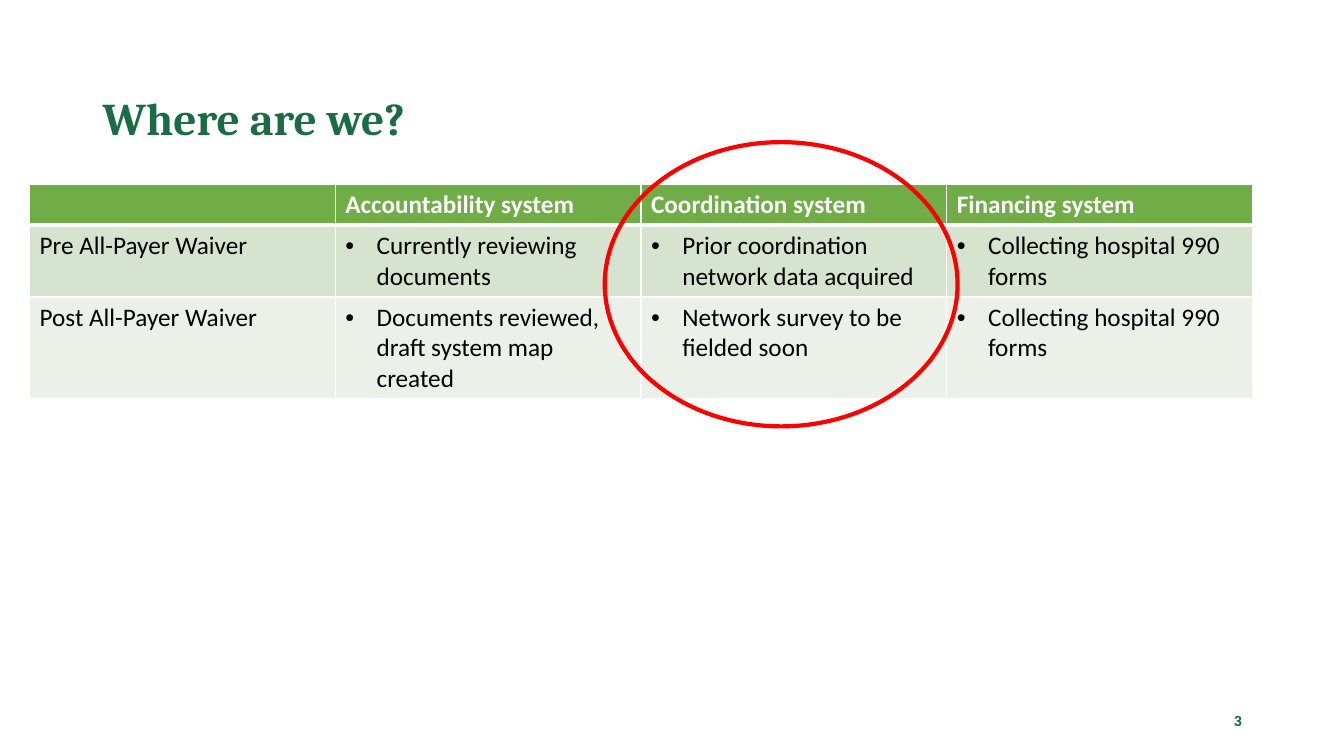
from dataclasses import dataclass

from lxml import etree
from pptx import Presentation
from pptx.dml.color import RGBColor
from pptx.enum.shapes import MSO_SHAPE
from pptx.enum.text import MSO_ANCHOR, PP_ALIGN
from pptx.oxml.ns import qn
from pptx.util import Inches, Pt

ELLIPSE = MSO_SHAPE.OVAL
MIDDLE = MSO_ANCHOR.MIDDLE
LEFT = PP_ALIGN.LEFT
RIGHT = PP_ALIGN.RIGHT

HEADINGS = ["", "Accountability system", "Coordination system", "Financing system"]
STAGES = [
    ["Pre All-Payer Waiver", "Currently reviewing documents",
     "Prior coordination network data acquired", "Collecting hospital 990 forms"],
    ["Post All-Payer Waiver", "Documents reviewed, draft system map created",
     "Network survey to be fielded soon", "Collecting hospital 990 forms"],
]


@dataclass(frozen=True)
class TextStyle:
    font: str
    size: float
    color: str
    bold: bool = False


@dataclass(frozen=True)
class Theme:
    title: TextStyle = TextStyle("Cambria", 32.4, "1A6C43", True)
    heading: TextStyle = TextStyle("Calibri", 18, "FFFFFF", True)
    body: TextStyle = TextStyle("Calibri", 18, "000000")
    number: TextStyle = TextStyle("Roboto", 10, "1A6C43", True)
    header_fill: str = "70AD47"
    row_fills: tuple = ("D5E3CF", "EBF1E9")
    border: str = "FFFFFF"
    highlight: str = "FF0000"
    thin: float = 1
    thick: float = 3
    indent: float = 0.31


class SlideBuilder:
    def __init__(self, deck, theme):
        self.deck = deck
        self.theme = theme
        self.page = deck.slides.add_slide(deck.slide_layouts[6])

    def place(self, left, top, width, height):
        across, down = self.deck.slide_width / 100, self.deck.slide_height / 100
        return [round(length) for length in
                (left * across, top * down, width * across, height * down)]

    def add_span(self, para, text, style):
        span = para.add_run()
        span.text = text
        span.font.name = style.font
        span.font.size = Pt(style.size)
        span.font.bold = style.bold
        span.font.color.rgb = RGBColor.from_string(style.color)

    def text(self, area, text, style, align=LEFT, spacing=1.0):
        frame = self.page.shapes.add_textbox(*self.place(*area)).text_frame
        frame.word_wrap = True
        frame.vertical_anchor = MIDDLE
        para = frame.paragraphs[0]
        para.alignment = align
        para.line_spacing = spacing
        self.add_span(para, text, style)

    def bullet(self, para):
        properties = para._p.get_or_add_pPr()
        indent = Inches(self.theme.indent)
        properties.set("marL", str(indent))
        properties.set("indent", str(-indent))
        etree.SubElement(properties, qn("a:buFont"), typeface="Arial")
        etree.SubElement(properties, qn("a:buChar"), char="•")

    def borders(self, cell, top, bottom):
        thin = self.theme.thin
        properties = cell._tc.get_or_add_tcPr()
        for side, weight in (("L", thin), ("R", thin), ("T", top), ("B", bottom)):
            line = etree.SubElement(properties, qn(f"a:ln{side}"), w=str(Pt(weight)))
            fill = etree.SubElement(line, qn("a:solidFill"))
            etree.SubElement(fill, qn("a:srgbClr"), val=self.theme.border)

    def table(self, area, rows, row_shares):
        theme = self.theme
        fills = (theme.header_fill, *theme.row_fills)
        frame = self.page.shapes.add_table(len(rows), len(rows[0]), *self.place(*area))
        table = frame.table
        table.horz_banding = False
        for index, (values, share) in enumerate(zip(rows, row_shares)):
            table.rows[index].height = round(self.deck.slide_height * share / 100)
            top = theme.thick if index == 1 else theme.thin
            bottom = theme.thick if index == 0 else theme.thin
            style = theme.body if index else theme.heading
            for column, value in enumerate(values):
                cell = table.cell(index, column)
                self.borders(cell, top, bottom)
                cell.fill.solid()
                cell.fill.fore_color.rgb = RGBColor.from_string(fills[index])
                para = cell.text_frame.paragraphs[0]
                if index and column:
                    self.bullet(para)
                if value:
                    self.add_span(para, value, style)

    def ring(self, area):
        ring = self.page.shapes.add_shape(ELLIPSE, *self.place(*area))
        ring.shadow.inherit = False
        ring.fill.background()
        ring.line.color.rgb = RGBColor.from_string(self.theme.highlight)
        ring.line.width = Pt(self.theme.thick)


def main():
    deck = Presentation()
    deck.slide_width, deck.slide_height = Inches(13.33), Inches(7.5)
    theme = Theme()
    slide = SlideBuilder(deck, theme)
    slide.text((6.9, 14.5, 86.25, 2.9), "Where are we?", theme.title, spacing=0.9)
    slide.table((2.2, 24.4, 91, 28.1), [HEADINGS, *STAGES], (5.4, 9.5, 13.5))
    slide.text((70.65, 92.7, 22.5, 5.3), "3", theme.number, align=RIGHT)
    slide.ring((45, 18.8, 26.25, 37.6))
    deck.save("out.pptx")


if __name__ == "__main__":
    main()
